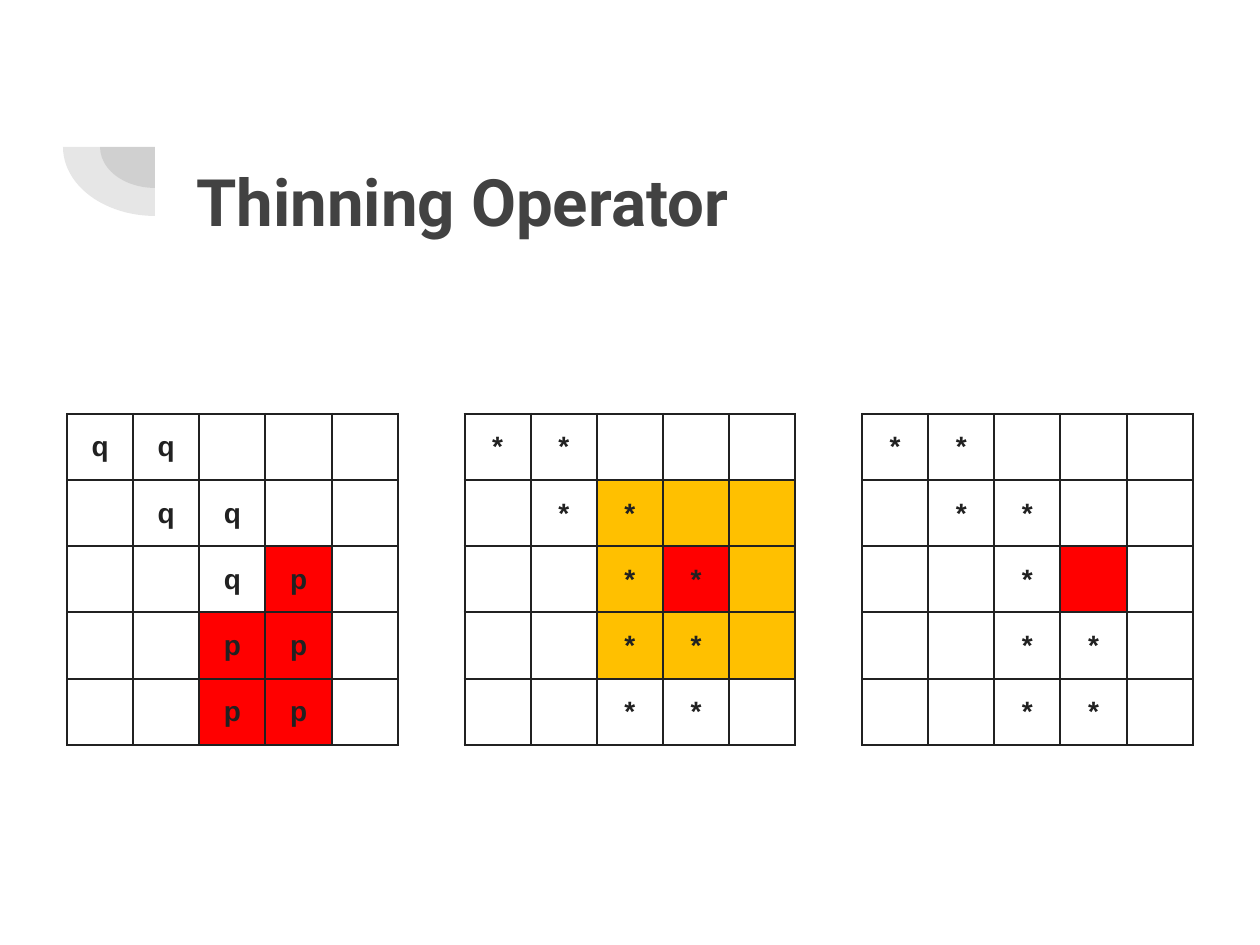
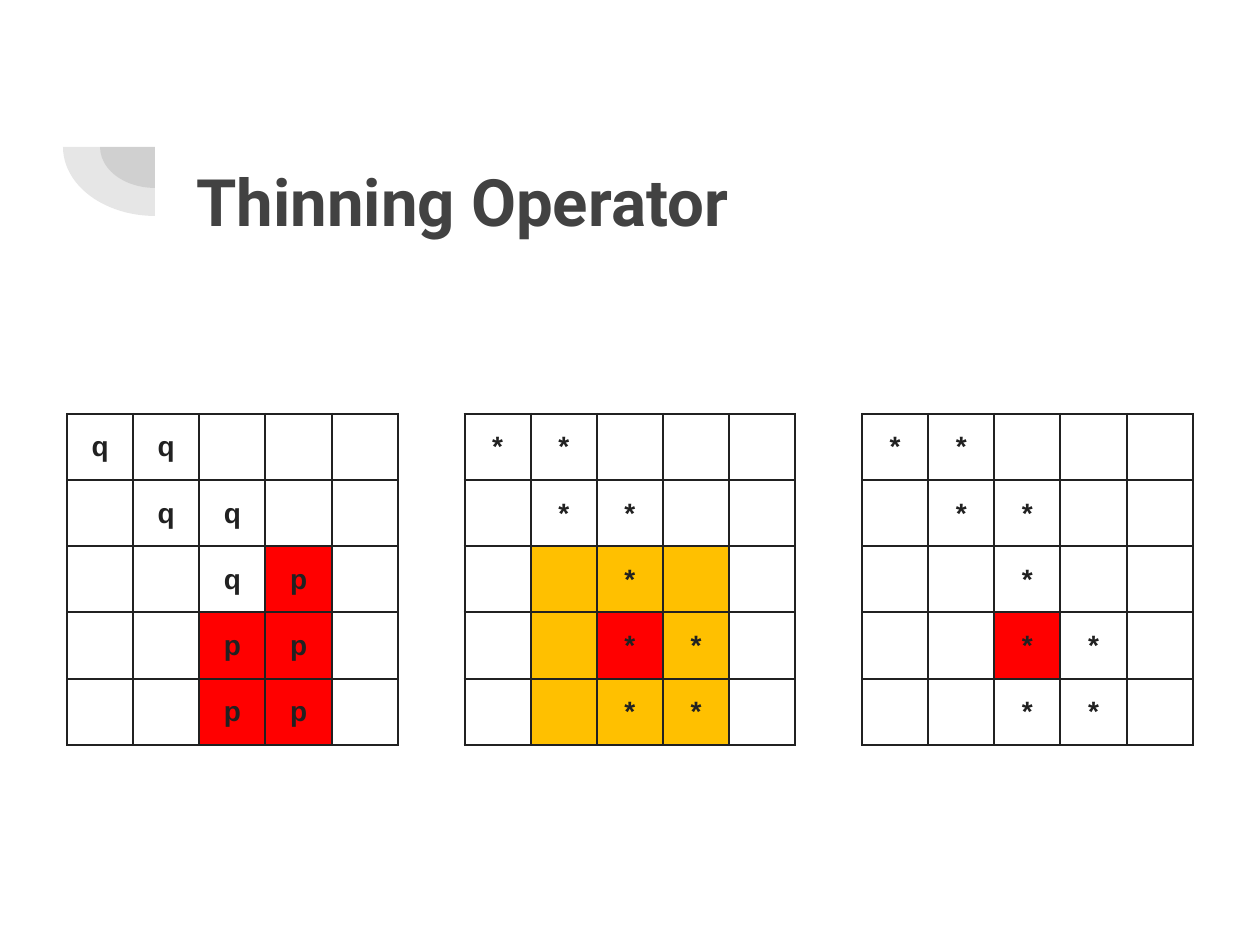
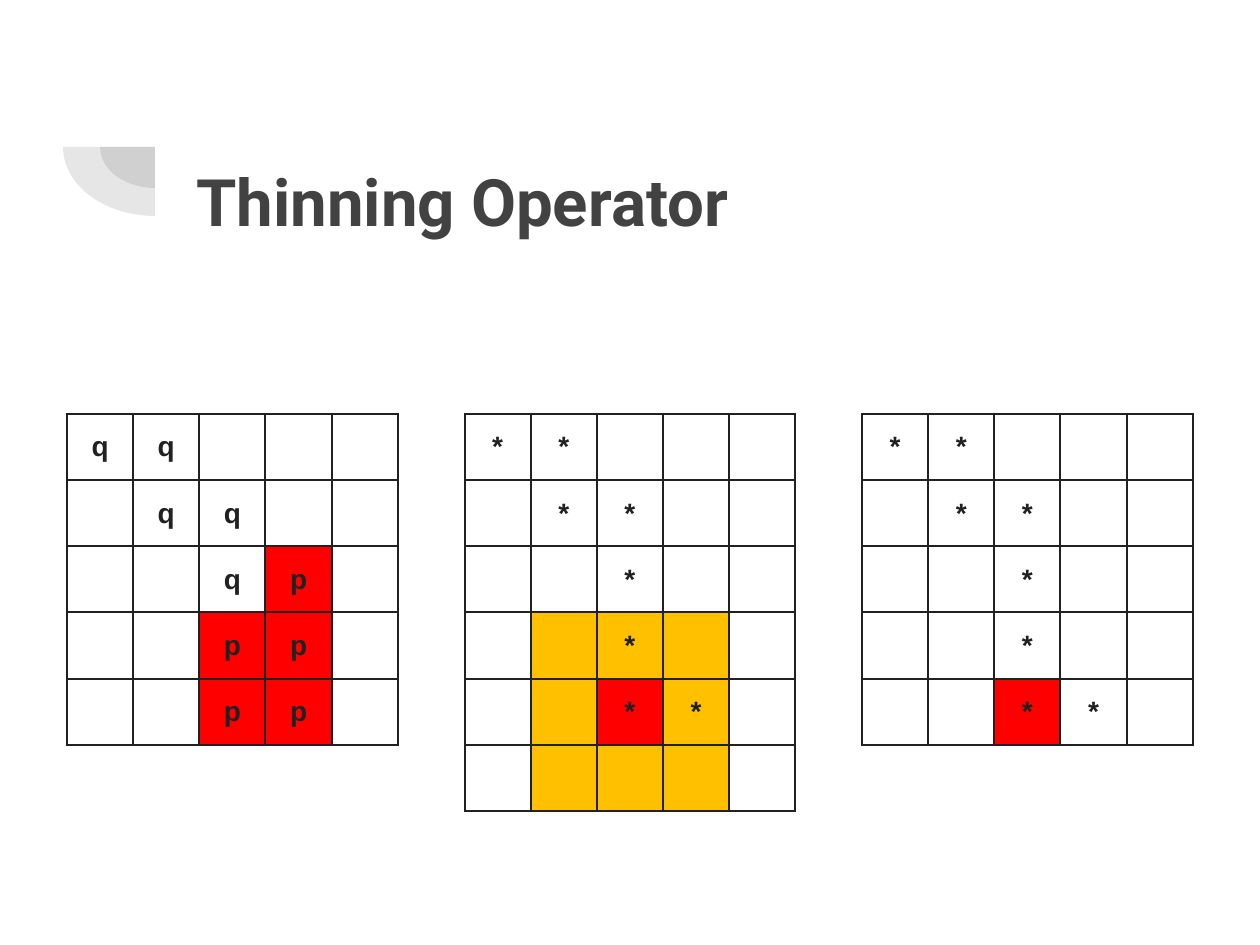
"""Builds three slides that step a thinning operator over a small grid."""
from lxml.etree import SubElement
from pptx import Presentation
from pptx.dml.color import RGBColor
from pptx.enum.shapes import MSO_SHAPE as Shape
from pptx.enum.text import MSO_ANCHOR as Anchor, PP_ALIGN as Align
from pptx.oxml.ns import qn
from pptx.util import Emu, Pt

TITLE = "Thinning Operator"
LABELS = ["qq...", ".qq..", "..qp.", "..pp.", "..pp."]
EMPTY = "."
STEPS = [
    {"focus": (2, 3), "before": [], "after": [(2, 3)]},
    {"focus": (3, 2), "before": [(2, 3)], "after": [(2, 3)]},
    {"focus": (4, 2), "before": [(2, 3), (3, 3)], "after": [(2, 3), (3, 3)]},
]

GREY, INK, WHITE, RED, GOLD = "424242", "212121", "FFFFFF", "FF0000", "FFC000"
PX = 914400 // 168
SLIDE_W, SLIDE_H = 1260, 945
MARGIN, GRID_TOP, GRID_SIZE = 67, 414, 331
GRID_PITCH = (SLIDE_W - 2 * MARGIN - GRID_SIZE) / 2
COUNT = len(LABELS)
CELL = GRID_SIZE / COUNT
ARC_CENTRE = (155, 147)
ARC_RADII = [(55, 41), (92, 69)]
ARC_OPACITY = 13


def px(*lengths):
    return [Emu(round(length * PX)) for length in lengths]


def colour(hex_code):
    return RGBColor.from_string(hex_code)


def write(frame, text, font="Arial", size=12, ink=INK, align=Align.LEFT):
    paragraph = frame.paragraphs[0]
    paragraph.alignment = align
    run = paragraph.add_run()
    run.text = text
    run.font.name, run.font.size, run.font.bold = font, Pt(size), True
    run.font.color.rgb = colour(ink)


def add_arc(slide, radius_x, radius_y):
    x, y = ARC_CENTRE
    arc = slide.shapes.add_shape(
        Shape.PIE, *px(x - radius_x, y - radius_y, 2 * radius_x, 2 * radius_y))
    arc.shadow.inherit = False
    arc.adjustments[0], arc.adjustments[1] = 54, 108
    arc.fill.solid()
    arc.fill.fore_color.rgb = colour(GREY)
    tint = arc.fill._xPr.find(qn("a:solidFill"))[0]
    SubElement(tint, qn("a:alpha"), val=str(ARC_OPACITY * 1000))
    arc.line.fill.background()


def add_heading(slide):
    for radii in ARC_RADII:
        add_arc(slide, *radii)
    frame = slide.shapes.add_textbox(*px(180, 109, 969, 183)).text_frame
    frame.word_wrap = True
    frame.vertical_anchor = Anchor.MIDDLE
    write(frame, TITLE, font="Roboto", size=28, ink=GREY)


def add_borders(cell):
    properties = cell._tc.get_or_add_tcPr()
    for index, side in enumerate(("lnL", "lnR", "lnT", "lnB")):
        border = properties.makeelement(qn("a:" + side), {"w": str(Pt(1))})
        fill = SubElement(border, qn("a:solidFill"))
        SubElement(fill, qn("a:srgbClr"), val=INK)
        properties.insert(index, border)


def add_grid(slide, position, marks, fills):
    rows = len(marks)
    table = slide.shapes.add_table(
        rows, COUNT,
        *px(MARGIN + position * GRID_PITCH, GRID_TOP, GRID_SIZE, rows * CELL)).table
    table.first_row = table.horz_banding = False
    for line in [*table.rows]:
        line.height = px(CELL)[0]
    for line in [*table.columns]:
        line.width = px(CELL)[0]
    for r, row in enumerate(marks):
        for c, mark in enumerate(row):
            cell = table.cell(r, c)
            cell.margin_left = cell.margin_right = 0
            cell.margin_top = cell.margin_bottom = 0
            cell.vertical_anchor = Anchor.MIDDLE
            cell.fill.solid()
            cell.fill.fore_color.rgb = colour(fills.get((r, c), WHITE))
            add_borders(cell)
            if mark != EMPTY:
                write(cell.text_frame, mark, align=Align.CENTER)


def star_marks(removed, rows=COUNT):
    padded = LABELS + [EMPTY * COUNT] * (rows - COUNT)
    return [[EMPTY if mark == EMPTY or (r, c) in removed else "*"
             for c, mark in enumerate(row)] for r, row in enumerate(padded)]


def add_step(deck, step):
    slide = deck.slides.add_slide(deck.slide_layouts[6])
    add_heading(slide)
    row, column = step["focus"]
    candidates = {(r, c): RED for r, labels in enumerate(LABELS)
                  for c, label in enumerate(labels) if label == "p"}
    focus = {(row, column): RED}
    window = {(r, c): GOLD for r in range(row - 1, row + 2)
              for c in range(column - 1, column + 2)}
    window_rows = max(COUNT, row + 2)
    add_grid(slide, 0, LABELS, candidates)
    add_grid(slide, 1, star_marks(step["before"], window_rows), window | focus)
    add_grid(slide, 2, star_marks(step["after"]), focus)


def main():
    deck = Presentation()
    deck.slide_width, deck.slide_height = px(SLIDE_W, SLIDE_H)
    for step in STEPS:
        add_step(deck, step)
    deck.save("out.pptx")


if __name__ == "__main__":
    main()
